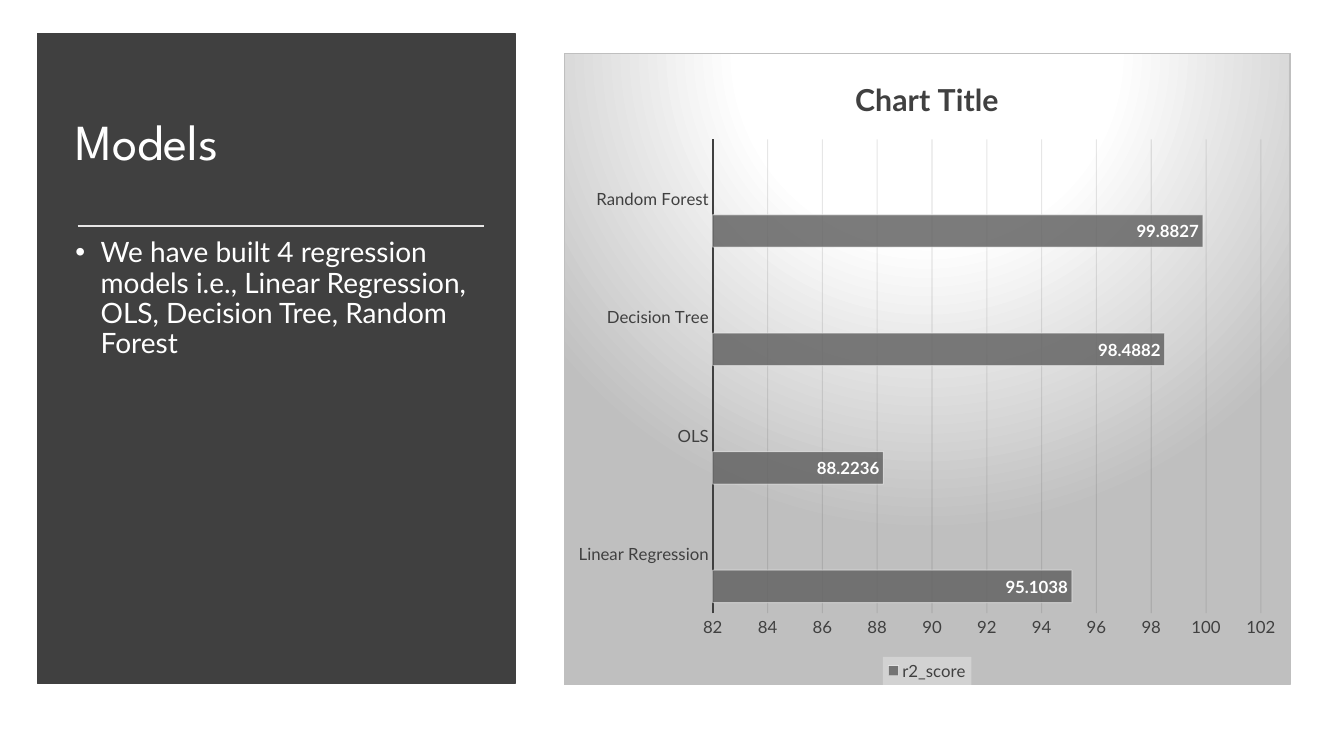
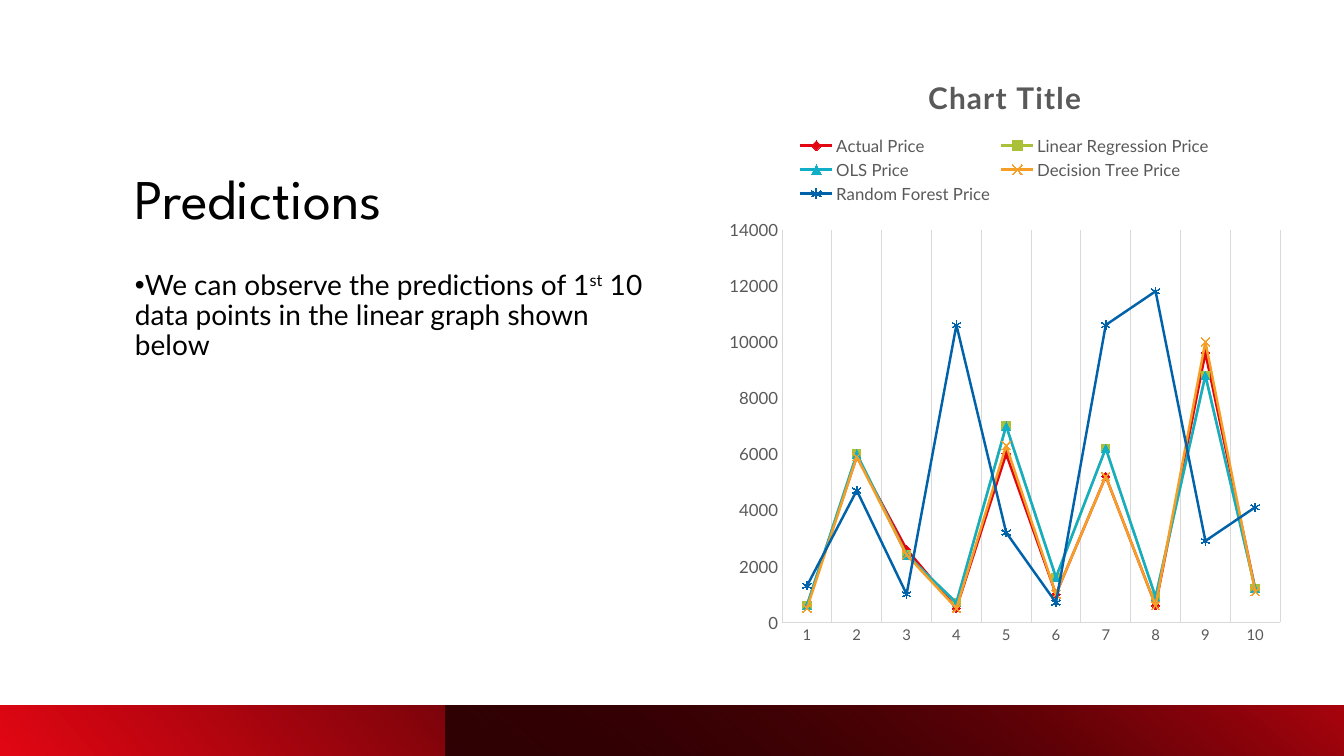
from lxml import etree
from pptx import Presentation
from pptx.chart.data import CategoryChartData as ChartData
from pptx.dml.color import RGBColor as RGB
from pptx.enum.chart import XL_CHART_TYPE as KIND, XL_LABEL_POSITION as LABEL
from pptx.enum.chart import XL_LEGEND_POSITION as LEGEND, XL_MARKER_STYLE as MARK
from pptx.enum.chart import XL_TICK_MARK as TICK
from pptx.enum.shapes import MSO_CONNECTOR as CONN, MSO_SHAPE as SHAPE
from pptx.enum.text import MSO_ANCHOR as ANCHOR
from pptx.oxml import parse_xml
from pptx.oxml.ns import nsdecls, qn
from pptx.util import Inches, Pt

# Theme
HEAD, BODY = "League Spartan", "Lato"
WHITE, BLACK = RGB(255, 255, 255), RGB(0, 0, 0)
DARK, GREY, PALE = RGB(0x40, 0x40, 0x40), RGB(0x59, 0x59, 0x59), RGB(0xD9, 0xD9, 0xD9)
RULE, EDGE = RGB(0xE7, 0xE6, 0xE6), RGB(0xBF, 0xBF, 0xBF)
INK, BAR, MIST = RGB(0x0D, 0x0D, 0x0D), RGB(0x64, 0x64, 0x64), RGB(0xF2, 0xF2, 0xF2)
RED, WINE = RGB(0xE2, 0x06, 0x13), RGB(0xAA, 0x05, 0x0E)
LIME, TEAL = RGB(0xA9, 0xC0, 0x38), RGB(0x11, 0xAE, 0xC7)
GOLD, BLUE = RGB(0xF5, 0x9F, 0x26), RGB(0x00, 0x62, 0xA9)
WIDE, HIGH = 13.33, 7.5

SCORES = {"Linear Regression": 95.1038, "OLS": 88.2236,
          "Decision Tree": 98.4882, "Random Forest": 99.8827}
PRICES = [
    ("Actual Price", RED, MARK.DIAMOND,
     (600, 5900, 2600, 500, 6000, 1000, 5200, 600, 9600, 1200)),
    ("Linear Regression Price", LIME, MARK.SQUARE,
     (600, 6000, 2400, 700, 7000, 1600, 6200, 900, 8800, 1200)),
    ("OLS Price", TEAL, MARK.TRIANGLE,
     (600, 6000, 2400, 700, 7000, 1600, 6200, 900, 8800, 1200)),
    ("Decision Tree Price", GOLD, MARK.X,
     (500, 5900, 2400, 500, 6300, 1000, 5200, 600, 10000, 1100)),
    ("Random Forest Price", BLUE, MARK.STAR,
     (1300, 4700, 1000, 10600, 3200, 700, 10600, 11800, 2900, 4100)),
]


# Shared helpers
def inches(box):
    return [Inches(v) for v in box]


def style(font, size, color, name=BODY, bold=False):
    font.size, font.name, font.bold = Pt(size), name, bold
    font.color.rgb = color


def stroke(line, color, width):
    line.color.rgb, line.width = color, Pt(width)


def fade(node, pct):
    for clr in node.iter(qn("a:srgbClr")):
        etree.SubElement(clr, qn("a:alpha")).set("val", str(pct * 1000))


def blend(stops, way):
    """Gradient fill; each stop is (position, colour, opacity)."""
    marks = "".join(
        f'<a:gs pos="{pos * 1000}"><a:srgbClr val="{clr}">'
        f'<a:alpha val="{pct * 1000}"/></a:srgbClr></a:gs>' for pos, clr, pct in stops)
    return f'<a:gradFill {nsdecls("a")} rotWithShape="1"><a:gsLst>{marks}</a:gsLst>{way}</a:gradFill>'


def add_rect(slide, box):
    rect = slide.shapes.add_shape(SHAPE.RECTANGLE, *inches(box))
    rect.shadow.inherit = False
    return rect


def add_text(slide, box, parts, size, color, name=BODY, anchor=ANCHOR.TOP):
    """Text box of one paragraph; every second part is superscript."""
    frame = slide.shapes.add_textbox(*inches(box)).text_frame
    frame.word_wrap, frame.vertical_anchor = True, anchor
    para = frame.paragraphs[0]
    para.line_spacing = 0.9
    for i, part in enumerate(parts):
        run = para.add_run()
        run.text = part
        style(run.font, size, color, name)
        if i % 2:
            run.font._element.set("baseline", "30000")
    return para


def add_bullet(para, left):
    props = para._p.get_or_add_pPr()
    props.set("marL", str(Inches(left)))
    props.set("indent", str(Inches(-0.25)))
    etree.SubElement(props, qn("a:buFont")).set("typeface", "Arial")
    etree.SubElement(props, qn("a:buChar")).set("char", "•")


def add_chart(slide, box, kind, data, color, title, place):
    """Chart with the title, legend and axis text that both slides use."""
    chart = slide.shapes.add_chart(kind, *inches(box), data).chart
    style(chart.font, 10, BLACK)
    chart.has_title = chart.has_legend = True
    frame = chart.chart_title.text_frame
    frame.text = "Chart Title"
    style(frame.paragraphs[0].runs[0].font, title, color, bold=True)
    chart.legend.position = place
    chart.legend.include_in_layout = False
    style(chart.legend.font, 12, color)
    for axis in (chart.category_axis, chart.value_axis):
        axis.major_tick_mark = axis.minor_tick_mark = TICK.NONE
        style(axis.tick_labels.font, 12, color)
    return chart


def set_scale(axis, low, top, step):
    axis.minimum_scale, axis.maximum_scale, axis.major_unit = low, top, step


# Models: dark panel and bar chart
def add_panel(slide, box):
    x, y, w, h = box
    rect = add_rect(slide, box)
    rect.fill.solid()
    rect.fill.fore_color.rgb = DARK
    stroke(rect.line, DARK, 1)
    left, wide = x + 0.28, w - 0.56
    add_text(slide, (left, y + 0.37, wide, 1.47), ["Models"], 36, WHITE, HEAD, ANCHOR.MIDDLE)
    ends = (x + 0.4, y + 1.91, x + w - 0.31, y + 1.91)
    rule = slide.shapes.add_connector(CONN.STRAIGHT, *inches(ends))
    stroke(rule.line, RULE, 1.75)
    etree.SubElement(rule._element.spPr, qn("a:effectLst"))
    para = add_text(slide, (left, y + 1.99, wide, 4.13),
                    ["We have built 4 regression models i.e., Linear Regression, "
                     "OLS, Decision Tree, Random Forest"], 20, WHITE)
    para.space_before = Pt(10)
    add_bullet(para, 0.25)


def add_scores(slide, box):
    data = ChartData()
    data.categories = list(SCORES)
    data.add_series("r2_score", list(SCORES.values()))
    for name in ("Series 2", "Column2"):
        data.add_series(name, [None] * len(SCORES))
    chart = add_chart(slide, box, KIND.BAR_CLUSTERED, data, DARK, 21.6, LEGEND.BOTTOM)

    # Axes
    cat, val = chart.category_axis, chart.value_axis
    stroke(cat.format.line, DARK, 1.5)
    set_scale(val, 82, 102, 2)
    val.format.line.fill.background()
    stroke(val.major_gridlines.format.line, INK, 0.75)
    fade(val._element.find(qn("c:majorGridlines")), 10)

    # Bars and labels
    plot = chart.plots[0]
    plot.gap_width, plot.vary_by_categories = 65, False
    for ser in plot.series:
        ser.format.fill.solid()
        ser.format.fill.fore_color.rgb = BAR
        stroke(ser.format.line, WHITE, 0.75)
        props = ser._element.get_or_add_spPr()
        fade(props.find(qn("a:solidFill")), 85)
        fade(props.find(qn("a:ln")), 50)
    tags = plot.series[0].data_labels
    tags.show_value, tags.position = True, LABEL.INSIDE_END
    style(tags.font, 12, WHITE, bold=True)

    # Legend with one entry on a light ground
    key = chart.legend._element
    for i in (1, 0):
        key.find(qn("c:legendPos")).addnext(parse_xml(
            f'<c:legendEntry {nsdecls("c")}><c:idx val="{i}"/><c:delete val="1"/></c:legendEntry>'))
    key.find(qn("c:overlay")).addnext(parse_xml(
        f'<c:spPr {nsdecls("c", "a")}><a:solidFill><a:srgbClr val="{MIST}">'
        '<a:alpha val="39000"/></a:srgbClr></a:solidFill></c:spPr>'))

    # Ground with a round gradient
    glow = blend([(0, WHITE, 100), (39, WHITE, 100), (100, EDGE, 100)],
                 '<a:path path="circle"><a:fillToRect l="50000" t="-80000" '
                 'r="50000" b="180000"/></a:path>')
    chart._chartSpace.find(qn("c:chart")).addnext(parse_xml(
        f'<c:spPr {nsdecls("c", "a")}>{glow}<a:ln w="{Pt(0.75)}"><a:solidFill>'
        f'<a:srgbClr val="{EDGE}"/></a:solidFill></a:ln></c:spPr>'))


# Predictions: text, red band and line chart
def add_notes(slide, box):
    x, y, w, h = box
    add_text(slide, (x, y, w, 1.8), ["Predictions"], 40, BLACK, HEAD, ANCHOR.BOTTOM)
    para = add_text(slide, (x, y + 2.09, w, h - 2.09),
                    ["We can observe the predictions of 1", "st",
                     " 10 data points in the linear graph shown below"], 20, BLACK)
    para.space_after = Pt(6)
    add_bullet(para, 0)


def add_band(slide, box):
    x, y, w, h = box
    base = [(0, RED, 100), (78, BLACK, 100)]
    over = [(0, BLACK, 63), (100, WINE, 100)]
    for left, stops, turn, angle in ((0, base, 180, 40), (4.42, over, 0, 230)):
        rect = add_rect(slide, (x + left, y, w - left, h))
        rect.rotation = turn
        rect.line.fill.background()
        props = rect._element.spPr
        props.find(qn("a:xfrm")).set("flipH", "1")
        way = f'<a:lin ang="{angle * 60000}" scaled="0"/>'
        props.find(qn("a:prstGeom")).addnext(parse_xml(blend(stops, way)))


def add_prices(slide, box):
    data = ChartData()
    data.categories = [str(n) for n in range(1, 11)]
    for name, _, _, vals in PRICES:
        data.add_series(name, vals)
    chart = add_chart(slide, box, KIND.LINE_MARKERS, data, GREY, 21.3, LEGEND.TOP)
    title = chart.chart_title.text_frame.paragraphs[0].runs[0]
    title.font._element.set("spc", "100")

    # Axes
    cat, val = chart.category_axis, chart.value_axis
    cat.tick_labels.font.size = Pt(10.6)
    cat.has_major_gridlines, val.has_major_gridlines = True, False
    set_scale(val, 0, 14000, 2000)
    for part in (cat, val, cat.major_gridlines):
        stroke(part.format.line, PALE, 0.75)

    # Lines and markers
    plot = chart.plots[0]
    plot.vary_by_categories = False
    for ser, (_, color, mark, _) in zip(plot.series, PRICES):
        ser.smooth = False
        stroke(ser.format.line, color, 1.75)
        ser.marker.style, ser.marker.size = mark, 6
        look = ser.marker.format
        stroke(look.line, color, 0.75)
        if mark in (MARK.X, MARK.STAR):
            look.fill.background()
        else:
            look.fill.solid()
            look.fill.fore_color.rgb = color


def main():
    deck = Presentation()
    deck.slide_width, deck.slide_height = Inches(WIDE), Inches(HIGH)
    blank = deck.slide_layouts[6]

    models = deck.slides.add_slide(blank)
    add_panel(models, (0.37, 0.33, 4.74, 6.45))
    add_scores(models, (5.59, 0.53, 7.21, 6.27))

    guess = deck.slides.add_slide(blank)
    add_notes(guess, (1.24, 0.55, 5.42, 5.94))
    add_band(guess, (0, 7, WIDE, 0.5))
    add_prices(guess, (7.12, 0.53, 5.69, 5.98))
    deck.save("out.pptx")


if __name__ == "__main__":
    main()
